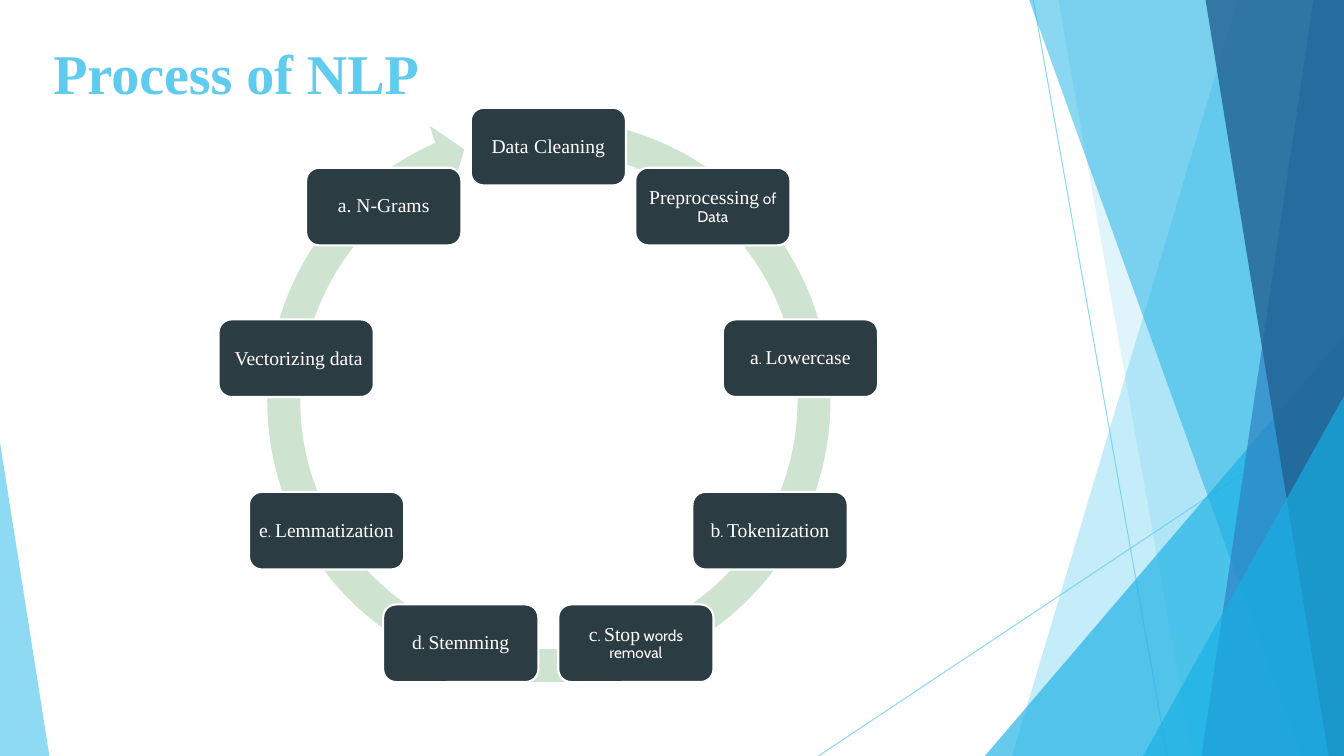
from dataclasses import dataclass
from math import cos, radians, sin
from typing import Any

from lxml.etree import SubElement
from pptx import Presentation
from pptx.dml.color import RGBColor
from pptx.enum.shapes import MSO_CONNECTOR, MSO_SHAPE
from pptx.enum.text import MSO_ANCHOR, PP_ALIGN
from pptx.oxml.ns import qn
from pptx.util import Inches, Pt

COLORS = {
    "sky": "5FCBEF",
    "cyan": "17B0E4",
    "blue": "2E83C3",
    "navy": "226292",
    "ring": "CFE4D0",
    "step": "2C3C43",
    "white": "FFFFFF",
}
WIDTH, HEIGHT = Inches(13.333), Inches(7.5)
RING_X, RING_Y, RING_RADIUS = 40.8, 53.27, 19.05
STEP_W, STEP_H = 11.55, 10.27

SERIF = {"name": "Times New Roman", "size": Pt(14)}
SERIF_GAP = {"name": "Times New Roman", "size": Pt(16)}
SANS = {"name": "Cabin", "size": Pt(11)}
SANS_MID = {"name": "Cabin", "size": Pt(12)}
SANS_GAP = {"name": "Cabin", "size": Pt(16)}
TITLE = {"name": "Times New Roman", "size": Pt(40), "bold": True}


@dataclass
class Ray:
    x1: float
    y1: float
    x2: float
    y2: float


@dataclass
class Panel:
    top_x: float
    bottom_x: float
    color: str
    alpha: int


@dataclass
class Wedge:
    left: float
    top: float
    width: float
    apex: float
    color: str
    alpha: int


@dataclass
class Run:
    text: str
    font: dict[str, Any]


RAYS = [Ray(76.88, 0, 86.85, 100), Ray(100, 53.73, 60.9, 100)]
FACETS = [
    Panel(92.1, 75.3, "sky", 36),
    Panel(78.75, 88.73, "sky", 20),
    Wedge(73.28, 44.4, 26.72, 1, "cyan", 66),
    Panel(76.58, 96.83, "cyan", 50),
    Panel(97.73, 89.4, "blue", 70),
    Panel(89.7, 98.85, "navy", 80),
    Wedge(85.05, 52.4, 14.95, 1, "cyan", 66),
    Wedge(0, 58.53, 3.68, 0, "sky", 70),
]
STEPS = [
    [Run("Data", SERIF), Run(" ", SERIF_GAP), Run("Cleaning", SERIF)],
    [Run("Preprocessing", SERIF), Run(" of Data", SANS)],
    [Run("a", SERIF), Run(". ", SANS), Run("Lowercase", SERIF)],
    [Run("b", SERIF), Run(". ", SANS), Run("Tokenization", SERIF)],
    [Run("c", SERIF), Run(". ", SANS), Run("Stop", SERIF), Run(" words removal", SANS)],
    [Run("d", SERIF), Run(". ", SANS), Run("Stemming", SERIF)],
    [Run("e", SERIF), Run(". ", SANS_MID), Run("Lemmatization", SERIF)],
    [Run(" ", SANS_GAP), Run("Vectorizing data", SERIF)],
    [Run("a. N-Grams", SERIF)],
]


def x(share: float) -> int:
    return round(WIDTH * share / 100)


def y(share: float) -> int:
    return round(HEIGHT * share / 100)


def rgb(name: str) -> RGBColor:
    return RGBColor.from_string(COLORS[name])


def apply(obj: Any, values: dict[str, Any]) -> None:
    for key, value in values.items():
        setattr(obj, key, value)


def set_alpha(sp: Any, alpha: int) -> None:
    color = next(sp._element.spPr.iter(qn("a:srgbClr")))
    SubElement(color, qn("a:alpha"), val=str(alpha * 1000))


def paint(sp: Any, color: str) -> None:
    sp.shadow.inherit = False
    sp.fill.solid()
    sp.fill.fore_color.rgb = rgb(color)
    sp.line.fill.background()


def write(p: Any, runs: list[Run], color: str) -> None:
    for run in runs:
        r = p.add_run()
        r.text = run.text
        apply(r.font, run.font)
        r.font.color.rgb = rgb(color)


def draw_ray(shapes: Any, ray: Ray) -> None:
    line = shapes.add_connector(
        MSO_CONNECTOR.STRAIGHT, x(ray.x1), y(ray.y1), x(ray.x2), y(ray.y2))
    line.line.color.rgb = rgb("sky")
    line.line.width = Pt(0.75)
    set_alpha(line, 70)
    SubElement(line._element.spPr, qn("a:effectLst"))


def draw_facet(shapes: Any, facet: Panel | Wedge) -> None:
    if isinstance(facet, Panel):
        builder = shapes.build_freeform(x(facet.top_x), 0)
        builder.add_line_segments([(x(100), 0), (x(100), y(100)), (x(facet.bottom_x), y(100))])
        sp = builder.convert_to_shape()
    else:
        sp = shapes.add_shape(
            MSO_SHAPE.ISOSCELES_TRIANGLE, x(facet.left), y(facet.top),
            x(facet.width), y(100 - facet.top))
        sp.adjustments[0] = facet.apex
    paint(sp, facet.color)
    set_alpha(sp, facet.alpha)


def draw_ring(shapes: Any) -> None:
    sp = shapes.add_shape(
        MSO_SHAPE.CIRCULAR_ARROW, x(18.53), y(13.33), x(44.63), x(44.63))
    for i, value in enumerate([0.055, 3.307, 147.532, 168.155, 0.058]):
        sp.adjustments[i] = value
    paint(sp, "ring")


def draw_step(shapes: Any, index: int, runs: list[Run]) -> None:
    angle = radians(index * 360 / len(STEPS))
    center_x = x(RING_X) + x(RING_RADIUS) * sin(angle)
    center_y = y(RING_Y) - x(RING_RADIUS) * cos(angle)
    w, h = x(STEP_W), y(STEP_H)
    sp = shapes.add_shape(
        MSO_SHAPE.ROUNDED_RECTANGLE, round(center_x - w / 2), round(center_y - h / 2), w, h)
    paint(sp, "step")
    sp.line.color.rgb = rgb("white")
    sp.line.width = Pt(1.5)
    tf = sp.text_frame
    inset = x(0.38)
    apply(tf, {"word_wrap": True, "vertical_anchor": MSO_ANCHOR.MIDDLE,
               "margin_left": inset, "margin_right": inset,
               "margin_top": inset, "margin_bottom": inset})
    p = tf.paragraphs[0]
    apply(p, {"alignment": PP_ALIGN.CENTER, "line_spacing": 0.9})
    write(p, runs, "white")


def main() -> None:
    prs = Presentation()
    apply(prs, {"slide_width": WIDTH, "slide_height": HEIGHT})
    s = prs.slides.add_slide(prs.slide_layouts[5])
    for ray in RAYS:
        draw_ray(s.shapes, ray)
    for facet in FACETS:
        draw_facet(s.shapes, facet)
    title = s.shapes.title
    apply(title, {"left": x(3.22), "top": y(3.87), "width": x(70.5), "height": y(11.33)})
    title.text_frame.vertical_anchor = MSO_ANCHOR.MIDDLE
    p = title.text_frame.paragraphs[0]
    p.alignment = PP_ALIGN.LEFT
    write(p, [Run("Process of NLP", TITLE)], "sky")
    draw_ring(s.shapes)
    for index, runs in enumerate(STEPS):
        draw_step(s.shapes, index, runs)
    prs.save("out.pptx")


if __name__ == "__main__":
    main()
